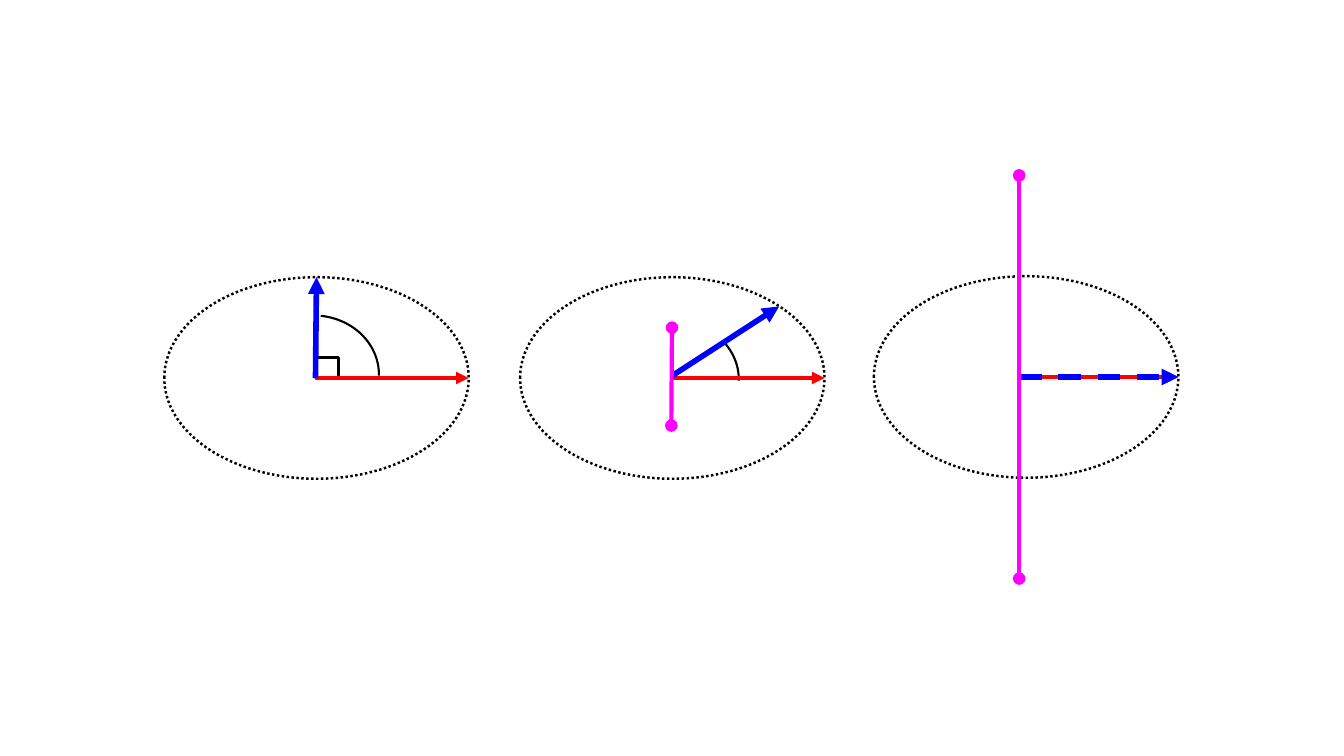
from dataclasses import dataclass
from typing import Optional

from lxml.etree import SubElement
from pptx import Presentation
from pptx.dml.color import RGBColor
from pptx.dml.line import LineFormat
from pptx.enum.dml import MSO_LINE_DASH_STYLE as Dash
from pptx.enum.shapes import MSO_CONNECTOR as Connector, MSO_SHAPE as Shape
from pptx.oxml.ns import qn
from pptx.slide import Slide
from pptx.util import Pt

COLORS = {"outline": "000000", "axis": "FF0000", "vector": "0000FF", "span": "FF00FF"}
ELLIPSE_SIZE = (217.44, 144)
ARC_SIZE = (93.6, 84.24)
ARC_END = 0.63


@dataclass
class Outline:
    kind: Shape
    left: float
    top: float
    size: tuple[float, float]
    weight: float
    dash: Optional[Dash] = None
    arc_start: Optional[float] = None


@dataclass
class Stroke:
    color: str
    start: tuple[float, float]
    end: tuple[float, float]
    weight: float = 3
    head: Optional[str] = None
    tail: str = "triangle"
    dash: Optional[Dash] = None


def orbit(left: float, top: float) -> Outline:
    return Outline(Shape.OVAL, left, top, ELLIPSE_SIZE, 1.75, Dash.ROUND_DOT)


def angle_arc(left: float, top: float, arc_start: float) -> Outline:
    """Arc that ends at the horizontal axis; arc_start is in 100000ths of the raw angle."""
    return Outline(Shape.ARC, left, top, ARC_SIZE, 1.5, arc_start=arc_start)


def axis(start: tuple[float, float], end: tuple[float, float]) -> Stroke:
    return Stroke("axis", start, end)


def vector(start: tuple[float, float], end: tuple[float, float],
           dash: Optional[Dash] = None) -> Stroke:
    return Stroke("vector", start, end, weight=4, dash=dash)


def span_line(start: tuple[float, float], end: tuple[float, float]) -> Stroke:
    return Stroke("span", start, end, head="oval", tail="oval")


# From back to front
FIGURE = [
    orbit(624.24, 197.28),
    Outline(Shape.RECTANGLE, 225.5, 255.5, (16.5, 14.5), 2),
    angle_arc(434.16, 228.96, 193.78),
    orbit(371.52, 198),
    axis((479.52, 270), (588.96, 270)),
    vector((479.52, 268.8), (556.5, 218.9)),
    span_line((480, 234), (479.52, 304)),
    axis((728, 269.28), (841.68, 269.28)),
    vector((728, 269.28), (841.68, 269.28), Dash.DASH),
    span_line((728, 125.28), (728, 413.28)),
    angle_arc(177.12, 225.36, 166.3),
    orbit(117.36, 198),
    axis((225.36, 270), (334.8, 270)),
    vector((225.36, 270), (226.08, 198)),
]


def format_line(line: LineFormat, color: str, weight: float, dash: Optional[Dash]) -> None:
    line.color.rgb = RGBColor.from_string(COLORS[color])
    line.width = Pt(weight)
    if dash is not None:
        line.dash_style = dash


def draw_outline(slide: Slide, outline: Outline) -> None:
    width, height = outline.size
    shape = slide.shapes.add_shape(
        outline.kind, Pt(outline.left), Pt(outline.top), Pt(width), Pt(height))
    shape.shadow.inherit = False
    shape.fill.background()
    format_line(shape.line, "outline", outline.weight, outline.dash)
    if outline.arc_start is not None:
        shape.adjustments[0] = outline.arc_start
        shape.adjustments[1] = ARC_END


def draw_stroke(slide: Slide, stroke: Stroke) -> None:
    connector = slide.shapes.add_connector(
        Connector.STRAIGHT, *(Pt(value) for value in stroke.start + stroke.end))
    format_line(connector.line, stroke.color, stroke.weight, stroke.dash)
    properties = connector._element.spPr
    line_element = properties.find(qn("a:ln"))
    for tag, end_type in (("a:headEnd", stroke.head), ("a:tailEnd", stroke.tail)):
        if end_type:
            SubElement(line_element, qn(tag), type=end_type)
    SubElement(properties, qn("a:effectLst"))


def main() -> None:
    deck = Presentation()
    deck.slide_width, deck.slide_height = Pt(960), Pt(540)
    slide = deck.slides.add_slide(deck.slide_layouts[6])
    for item in FIGURE:
        if isinstance(item, Outline):
            draw_outline(slide, item)
        else:
            draw_stroke(slide, item)
    deck.save("out.pptx")


if __name__ == "__main__":
    main()
